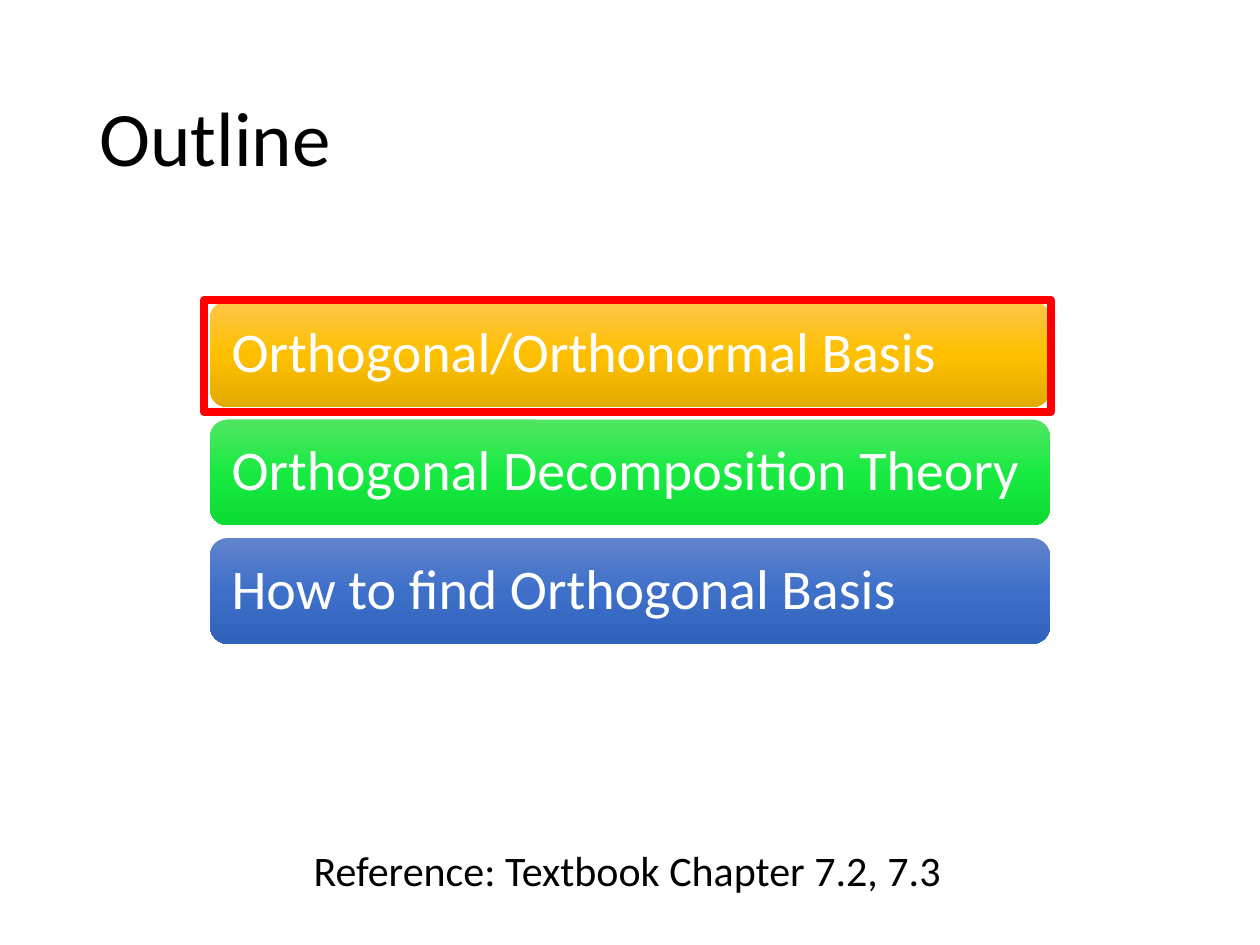
import copy

import pptx
import pptx.dml.color
import pptx.enum.shapes
import pptx.enum.text
import pptx.util

RGB = pptx.dml.color.RGBColor
Inches, Pt = pptx.util.Inches, pptx.util.Pt
SHAPE = pptx.enum.shapes.MSO_SHAPE
MIDDLE = pptx.enum.text.MSO_ANCHOR.MIDDLE

BLACK = RGB(0x00, 0x00, 0x00)
WHITE = RGB(0xFF, 0xFF, 0xFF)
RED = RGB(0xFF, 0x00, 0x00)
GOLD = [RGB(0xFF, 0xC6, 0x4B), RGB(0xFF, 0xC0, 0x00), RGB(0xE3, 0xAB, 0x00)]
GREEN = [RGB(0x51, 0xE6, 0x63), RGB(0x19, 0xEA, 0x42), RGB(0x0C, 0xDB, 0x34)]
BLUE = [RGB(0x61, 0x83, 0xCB), RGB(0x3E, 0x70, 0xCA), RGB(0x30, 0x62, 0xBB)]

prs = pptx.Presentation()
prs.slide_width, prs.slide_height = Inches(10), Inches(7.5)
W, H = prs.slide_width, prs.slide_height
s = prs.slides.add_slide(prs.slide_layouts[6])

# Bar grid: two thirds of the width, centred
BAR_X, BAR_W = W // 6, W * 2 // 3
BAR_Y, BAR_H, ROW = Inches(2.39), Inches(0.84), Inches(0.94)


def add_text(tf, text, size, color):
    p = tf.paragraphs[0]
    p.alignment = pptx.enum.text.PP_ALIGN.LEFT
    r = p.add_run()
    r.text = text
    r.font.name, r.font.size = "Calibri", Pt(size)
    r.font.color.rgb = color
    return p


# Title
tf = s.shapes.add_textbox(Inches(0.69), Inches(0.4), W - 2 * Inches(0.69), Inches(1.45)).text_frame
tf.word_wrap = True
tf.vertical_anchor = MIDDLE
add_text(tf, "Outline", 44, BLACK).line_spacing = 0.9

# Reference
tf = s.shapes.add_textbox(Inches(2.39), Inches(6.65), Inches(5.23), Inches(0.5)).text_frame
tf.word_wrap = False
tf.auto_size = pptx.enum.text.MSO_AUTO_SIZE.SHAPE_TO_FIT_TEXT
add_text(tf, "Reference: Textbook Chapter 7.2, 7.3", 24, BLACK)

# Topic bars
topics = [
    ("Orthogonal/Orthonormal Basis", GOLD),
    ("Orthogonal Decomposition Theory", GREEN),
    ("How to find Orthogonal Basis", BLUE),
]
for i, (topic, colors) in enumerate(topics):
    sp = s.shapes.add_shape(SHAPE.ROUNDED_RECTANGLE, BAR_X, BAR_Y + i * ROW, BAR_W, BAR_H)
    sp.shadow.inherit = False
    sp.line.fill.background()

    # Three-stop gradient from top to bottom
    sp.fill.gradient()
    sp.fill.gradient_angle = 270
    first = sp.fill._fill._gradFill.gsLst[0]
    first.addnext(copy.deepcopy(first))
    for k, (stop, color) in enumerate(zip(sp.fill.gradient_stops, colors)):
        stop.position = k / 2
        stop.color.rgb = color

    tf = sp.text_frame
    tf.word_wrap = True
    tf.vertical_anchor = MIDDLE
    tf.margin_left = tf.margin_right = tf.margin_top = tf.margin_bottom = Inches(0.13)
    add_text(tf, topic, 32, WHITE).line_spacing = 0.9

# Frame around the current topic
sp = s.shapes.add_shape(SHAPE.RECTANGLE, Inches(1.62), Inches(2.38), Inches(6.72), Inches(0.89))
sp.shadow.inherit = False
sp.fill.background()
sp.line.color.rgb = RED
sp.line.width = Pt(4.5)

prs.save("out.pptx")
